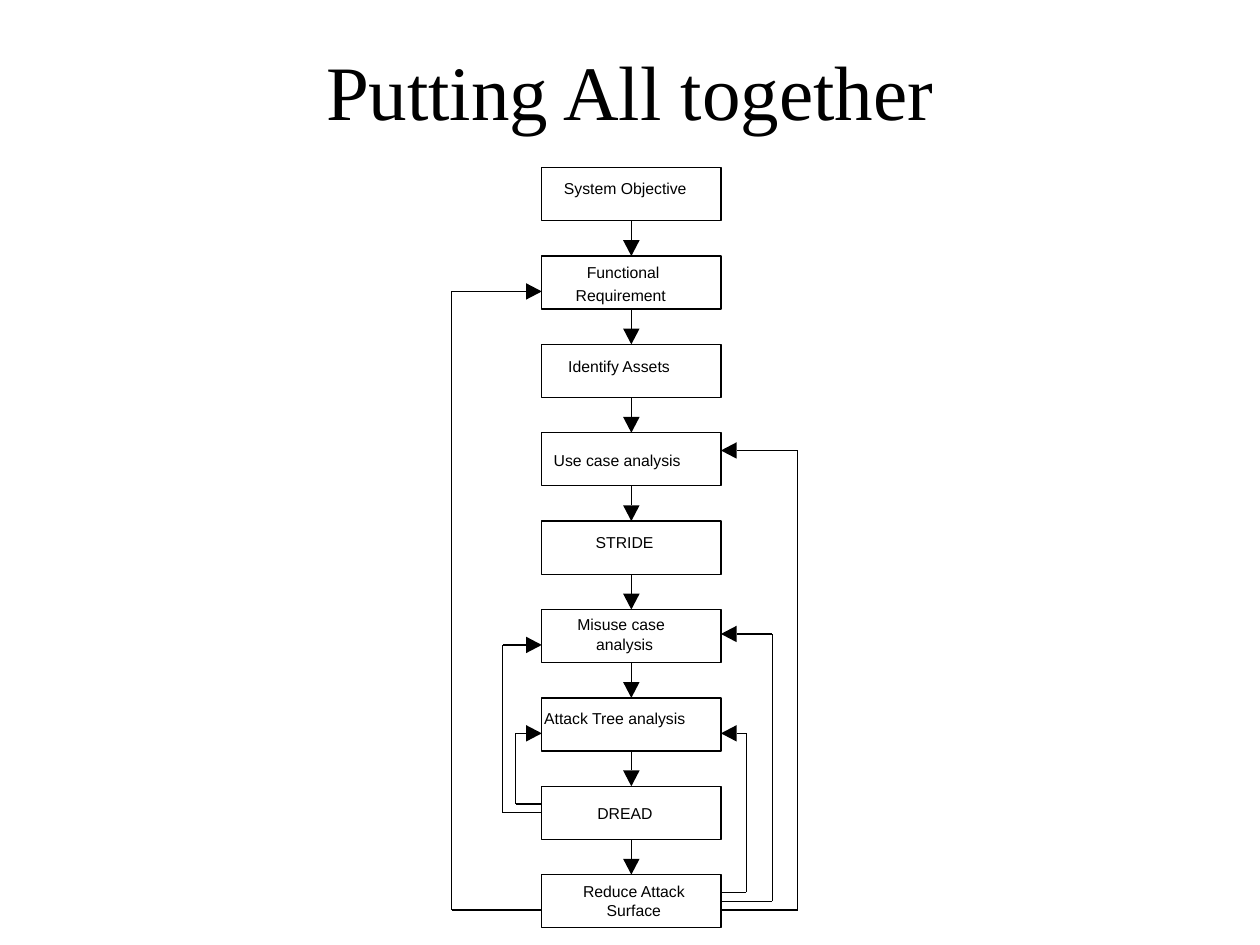
from dataclasses import dataclass

from lxml import etree
from pptx import Presentation
from pptx.dml.color import RGBColor
from pptx.enum.shapes import MSO_CONNECTOR, MSO_SHAPE
from pptx.enum.text import MSO_ANCHOR, PP_ALIGN
from pptx.oxml.ns import qn
from pptx.util import Pt

STRAIGHT = MSO_CONNECTOR.STRAIGHT
RECT = MSO_SHAPE.RECTANGLE
MIDDLE = MSO_ANCHOR.MIDDLE
CENTER, LEFT = PP_ALIGN.CENTER, PP_ALIGN.LEFT
SITE_LEFT, SITE_BOTTOM, SITE_RIGHT = 1, 2, 3


@dataclass(frozen=True)
class Theme:
    ink: RGBColor = RGBColor(0, 0, 0)
    paper: RGBColor = RGBColor(255, 255, 255)
    title_font: str = "Times New Roman"
    label_font: str = "Arial"
    title_size: int = 44
    label_size: int = 9
    line: float = 0.75


T = Theme()

# Column of equal boxes
BOX_X, BOX_Y, BOX_W, BOX_H, PITCH = 309.6, 95.8, 102.4, 30.4, 50.5
MID_X = BOX_X + BOX_W / 2
HEAD = 9  # arrowhead length
HALF = 4.7  # half of the arrowhead width

# Per box: label lines as (text, left, offset from box top, width)
STEPS = [
    [("System Objective", 322.3, 6.5, 80)],
    [("Functional", 335.3, 3.6, 48), ("Requirement", 329, 17, 58)],
    [("Identify Assets", 324.7, 7, 66)],
    [("Use case analysis", 316.4, 10.3, 80)],
    [("STRIDE", 340.4, 6.5, 40)],
    [("Misuse case", 329.9, 3.2, 58), ("analysis", 340.7, 14.6, 40)],
    [("Attack Tree analysis", 311, 6.5, 90)],
    [("DREAD", 341.3, 9.9, 40)],
    [("Reduce Attack Surface", 323.2, 4.3, 78)],
]
FUNCTIONAL, USE_CASE, MISUSE, ATTACK_TREE, DREAD, REDUCE = 1, 3, 5, 6, 7, 8

# Feedback loops: source, offset, target, offset, lane x
HIGH, MID, LOW = BOX_H / 3, BOX_H / 2, BOX_H * 2 / 3
LOOPS = [
    (DREAD, HIGH, ATTACK_TREE, LOW, 294.6),
    (DREAD, MID, MISUSE, LOW, 287.3),
    (REDUCE, LOW, FUNCTIONAL, LOW, 258.1),
    (REDUCE, HIGH, ATTACK_TREE, LOW, 426.5),
    (REDUCE, MID, MISUSE, 14, 441.3),
    (REDUCE, LOW, USE_CASE, HIGH, 455.8),
]


def add_line(x1, y1, x2, y2):
    c = s.shapes.add_connector(STRAIGHT, Pt(x1), Pt(y1), Pt(x2), Pt(y2))
    c.line.color.rgb = T.ink
    c.line.width = Pt(T.line)
    etree.SubElement(c._element.spPr, qn("a:effectLst"))
    return c


def add_head(x, y, dx, dy):
    """Solid arrowhead with its tip at x, y, pointing along the unit vector dx, dy."""
    base_x, base_y = x - dx * HEAD, y - dy * HEAD
    corners = [(base_x + k * dy * HALF, base_y + k * dx * HALF) for k in (1, -1)]
    fb = s.shapes.build_freeform(Pt(x), Pt(y))
    fb.add_line_segments([(Pt(cx), Pt(cy)) for cx, cy in corners], close=True)
    sp = fb.convert_to_shape()
    sp.shadow.inherit = False
    sp.fill.solid()
    sp.fill.fore_color.rgb = T.ink
    sp.line.fill.background()


prs = Presentation()
prs.slide_width, prs.slide_height = Pt(720), Pt(540)
s = prs.slides.add_slide(prs.slide_layouts[5])

title = s.shapes.title
title.left, title.top, title.width, title.height = Pt(54), Pt(24), Pt(612), Pt(54)
tf = title.text_frame
tf.text = "Putting All together"
tf.vertical_anchor = MIDDLE
p = tf.paragraphs[0]
p.alignment = CENTER
font = p.runs[0].font
font.name, font.size, font.color.rgb = T.title_font, Pt(T.title_size), T.ink

# Boxes and their labels
boxes = []
tops = [BOX_Y + i * PITCH for i in range(len(STEPS))]
for top, labels in zip(tops, STEPS):
    box = s.shapes.add_shape(RECT, Pt(BOX_X), Pt(top), Pt(BOX_W), Pt(BOX_H))
    box.shadow.inherit = False
    box.fill.solid()
    box.fill.fore_color.rgb = T.paper
    box.line.color.rgb = T.ink
    box.line.width = Pt(T.line)
    boxes.append(box)
    for text, left, offset, width in labels:
        two_lines = text == "Reduce Attack Surface"
        height = 21.6 if two_lines else 10.8
        tb = s.shapes.add_textbox(Pt(left), Pt(top + offset), Pt(width), Pt(height))
        tf = tb.text_frame
        tf.margin_left = tf.margin_right = tf.margin_top = tf.margin_bottom = 0
        tf.word_wrap = True
        tf.text = text
        p = tf.paragraphs[0]
        p.alignment = CENTER if two_lines else LEFT
        font = p.runs[0].font
        font.name, font.size, font.color.rgb = T.label_font, Pt(T.label_size), T.ink

# Downward flow
for box, top, next_top in zip(boxes, tops, tops[1:]):
    c = add_line(MID_X, top + BOX_H, MID_X, next_top - HEAD)
    c.begin_connect(box, SITE_BOTTOM)
    add_head(MID_X, next_top, 0, 1)

# Feedback loops
for source, out, target, into, lane in LOOPS:
    on_left = lane < MID_X
    edge, dx = (BOX_X, 1) if on_left else (BOX_X + BOX_W, -1)
    y1, y2 = tops[source] + out, tops[target] + into
    c = add_line(edge, y1, lane, y1)
    if out == MID:
        c.begin_connect(boxes[source], SITE_LEFT if on_left else SITE_RIGHT)
    add_line(lane, y1, lane, y2)
    add_line(lane, y2, edge - dx * HEAD, y2)
    add_head(edge, y2, dx, 0)

prs.save("out.pptx")
